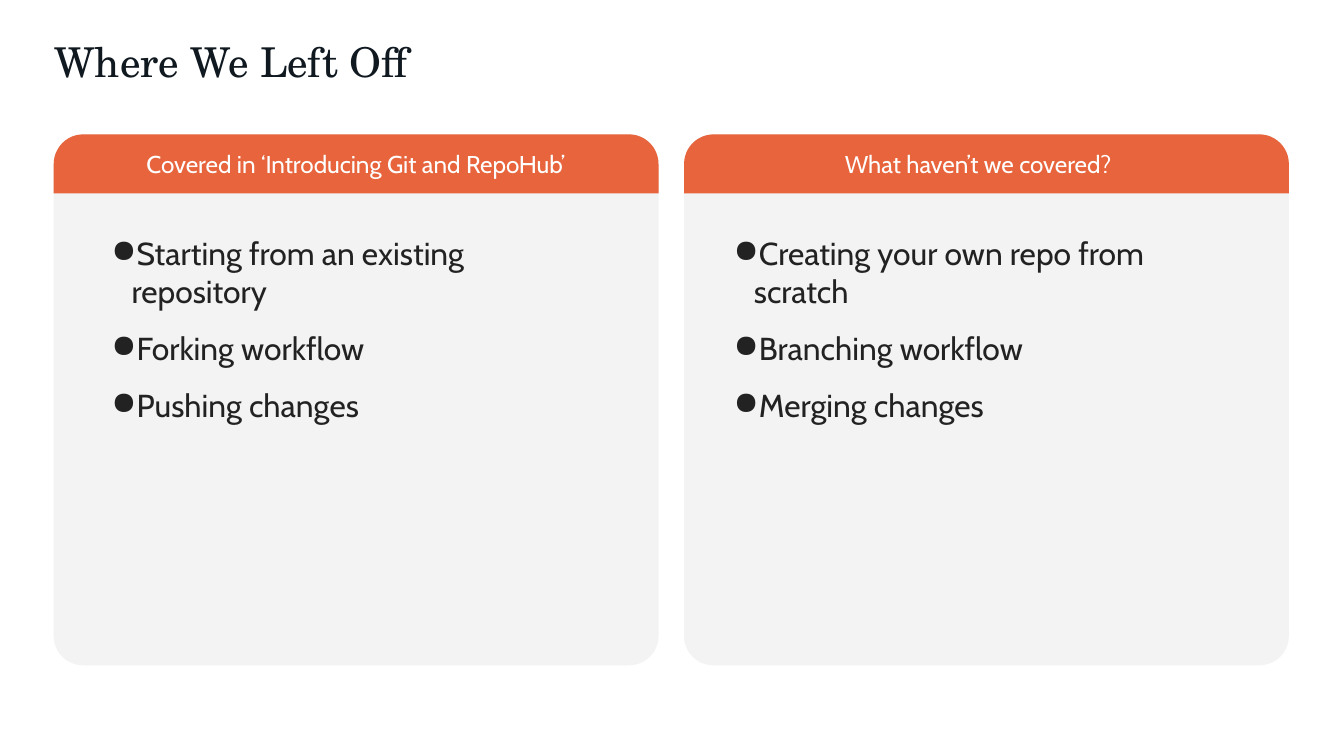
from pptx import Presentation
from pptx.dml.color import RGBColor as RGB
from pptx.enum.shapes import MSO_SHAPE as Kind
from pptx.enum.text import PP_ALIGN as Align
from pptx.oxml.xmlchemy import OxmlElement as Elem
from pptx.util import Pt

INK = {"title": "101820", "body": "222222", "head": "FFFFFF",
       "card": "F3F3F3", "band": "E7643C"}
CARDS = [
    ("Covered in ‘Introducing Git and RepoHub’",
     ["Starting from an existing repository", "Forking workflow", "Pushing changes"]),
    ("What haven’t we covered?",
     ["Creating your own repo from scratch", "Branching workflow", "Merging changes"]),
]

deck = Presentation()
deck.slide_width, deck.slide_height = Pt(720), Pt(405)
slide = deck.slides.add_slide(deck.slide_layouts[6])


def panel(kind, left, high, ink, round):
    shape = slide.shapes.add_shape(kind, Pt(left), Pt(72), Pt(324), Pt(high))
    shape.adjustments[0] = round
    shape.shadow.inherit = False
    shape.fill.solid()
    shape.fill.fore_color.rgb = RGB.from_string(INK[ink])
    shape.line.fill.background()


def write(place, lines, face, size, ink, align=Align.LEFT, dots=False):
    box = slide.shapes.add_textbox(*map(Pt, place))
    frame = box.text_frame
    frame.word_wrap = True
    frame.margin_left = frame.margin_right = Pt(7.2)
    frame.margin_top = frame.margin_bottom = Pt(7.2)
    frame.text = "\n".join(lines)
    for spot, para in enumerate(frame.paragraphs):
        para.alignment = align
        if spot:
            para.space_before = Pt(10)
        if dots:
            props = para._p.get_or_add_pPr()
            props.set("marL", str(Pt(10.8)))
            props.set("indent", str(Pt(-19.44)))
            tint = Elem("a:buClr")
            hue = Elem("a:srgbClr")
            hue.set("val", INK[ink])
            tint.append(hue)
            dot = Elem("a:buChar")
            dot.set("char", "●")
            props.append(tint)
            props.append(dot)
        para.font.name = face
        para.font.size = Pt(size)
        para.font.color.rgb = RGB.from_string(INK[ink])
    return frame


write((22.3, 12.2, 640, 45.4), ["Where We Left Off"], "TeX Gyre Schola", 22, "title")

for col, (head, points) in enumerate(CARDS):
    left = 28.8 + col * 337.7
    panel(Kind.ROUNDED_RECTANGLE, left, 284.4, "card", 0.055)
    panel(Kind.ROUND_2_SAME_RECTANGLE, left, 31.7, "band", 0.5)
    inner = 52.6 + col * 333.4
    write((inner, 72.7, 275.8, 29.5), [head], "Cabin", 13, "head", Align.CENTER)
    body = write((inner, 118.1, 275.8, 117.4), points, "Cabin", 17, "body", dots=True)
    body.paragraphs[-1].space_after = Pt(10)

deck.save("out.pptx")
